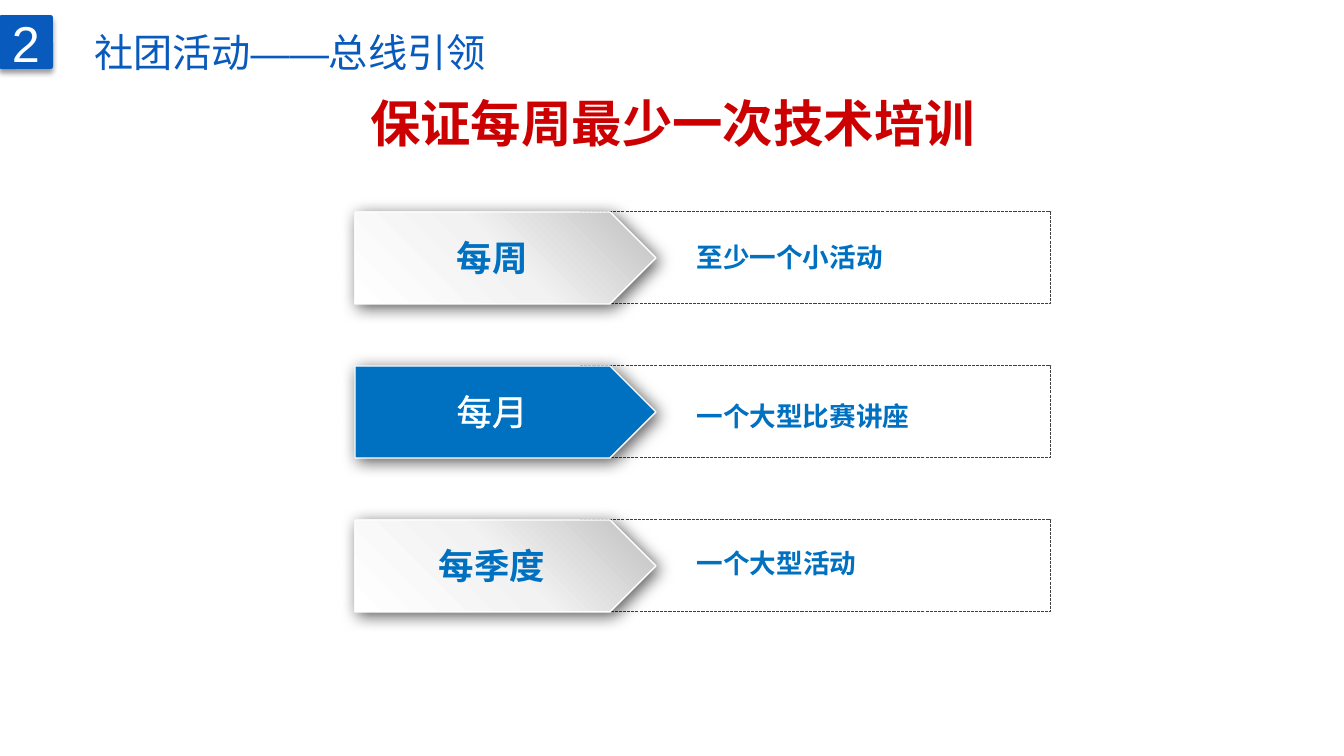
from dataclasses import dataclass

from copy import deepcopy
from lxml import etree
from pptx import Presentation
from pptx.dml.color import RGBColor
from pptx.enum.dml import MSO_LINE
from pptx.enum.shapes import MSO_SHAPE
from pptx.enum.text import MSO_ANCHOR, MSO_AUTO_SIZE, PP_ALIGN
from pptx.oxml.ns import qn
from pptx.util import Pt

RECT = MSO_SHAPE.RECTANGLE
ROUNDED = MSO_SHAPE.ROUNDED_RECTANGLE
PENTAGON = MSO_SHAPE.PENTAGON
LEFT, CENTER = PP_ALIGN.LEFT, PP_ALIGN.CENTER
TOP, MIDDLE = MSO_ANCHOR.TOP, MSO_ANCHOR.MIDDLE
GROW = MSO_AUTO_SIZE.SHAPE_TO_FIT_TEXT
DASH = MSO_LINE.SQUARE_DOT

SLIDE_W, SLIDE_H = 1344, 756
EMU_PER_PX = 12192000 / SLIDE_W


@dataclass(frozen=True)
class Theme:
    latin: str = "Arial"
    cjk: str = "Noto Sans CJK SC"
    navy: str = "085ABC"
    blue: str = "0070C0"
    red: str = "CC0000"
    white: str = "FFFFFF"
    black: str = "000000"
    frame: str = "404040"
    silver: tuple = ("BFBFBF", "F2F2F2", "FFFFFF")
    headline: float = 36
    header: float = 28
    label: float = 25.3
    detail: float = 19


T = Theme()

# Period, its label colour, highlighted or not, activity, activity offset and width
ROWS = [
    ("每周", T.blue, False, "至少一个小活动", 24, 327),
    ("每月", T.white, True, "一个大型比赛讲座", 29, 272),
    ("每季度", T.blue, False, "一个大型活动", 22, 241),
]
ROW_TOP, ROW_PITCH, ROW_H = 212, 154, 92
PLATE_X, PLATE_W = 355, 301
FRAME_X, FRAME_W = 581, 470
LABEL_CENTER, LABEL_W, LABEL_H = 492, 128, 53
DETAIL_X, DETAIL_H = 687, 42


def px(n):
    return round(n * EMU_PER_PX)


def rgb(value):
    return RGBColor.from_string(value)


def set_text(sp, text, size, color, font=T.cjk, bold=False, align=LEFT,
             spacing=None, **frame):
    """Write one formatted paragraph; frame holds text frame settings."""
    tf = sp.text_frame
    for name, value in frame.items():
        setattr(tf, name, value)
    p = tf.paragraphs[0]
    p.alignment = align
    if spacing:
        p.line_spacing = spacing
    r = p.add_run()
    r.text = text
    for name, value in {"size": Pt(size), "bold": bold, "name": font}.items():
        setattr(r.font, name, value)
    r.font.color.rgb = rgb(color)
    etree.SubElement(r.font._element, qn("a:ea"), typeface=font)
    return r


def add_text(s, box, *args, **kwargs):
    sp = s.shapes.add_textbox(*map(px, box))
    settings = {"word_wrap": True, "auto_size": GROW, **kwargs}
    return set_text(sp, *args, **settings)


def add_shape(s, kind, box, fill=None, line=None, width=1):
    """Add a preset shape; a tuple of colours gives a gradient fill."""
    sp = s.shapes.add_shape(kind, *map(px, box))
    sp.shadow.inherit = False
    if isinstance(fill, tuple):
        fill_gradient(sp, fill)
    elif fill:
        sp.fill.solid()
        sp.fill.fore_color.rgb = rgb(fill)
    else:
        sp.fill.background()
    if line:
        sp.line.color.rgb = rgb(line)
        sp.line.width = Pt(width)
    else:
        sp.line.fill.background()
    return sp


def fill_gradient(sp, colors):
    sp.fill.gradient()
    stops = sp._element.spPr.find(".//" + qn("a:gsLst"))
    stops.append(deepcopy(stops[0]))
    for i, (stop, color) in enumerate(zip(sp.fill.gradient_stops, colors)):
        stop.position = i / (len(colors) - 1)
        stop.color.rgb = rgb(color)
    sp.fill.gradient_angle = 225


def add_shadow(sp, alpha, blur, distance, angle):
    effects = sp._element.spPr.find(qn("a:effectLst"))
    shadow = etree.SubElement(
        effects, qn("a:outerShdw"), blurRad=str(Pt(blur)), dist=str(Pt(distance)),
        dir=str(angle * 60000), algn="tl", rotWithShape="0")
    color = etree.SubElement(shadow, qn("a:srgbClr"), val=T.black)
    etree.SubElement(color, qn("a:alpha"), val=str(alpha * 1000))


def outline_text(r, color, width):
    ln = etree.Element(qn("a:ln"), w=str(Pt(width)))
    fill = etree.SubElement(ln, qn("a:solidFill"))
    etree.SubElement(fill, qn("a:srgbClr"), val=color)
    r.font._element.insert(0, ln)


def add_header(s, number, text):
    badge = add_shape(s, ROUNDED, (-1, 15, 54, 54), T.navy)
    badge.adjustments[0] = 0.05
    add_shadow(badge, 40, 4, 3, 90)
    set_text(badge, number, T.headline, T.white, T.latin, align=CENTER,
             vertical_anchor=MIDDLE)
    title = s.shapes.title
    box = map(px, (84, 0, 416, 73))
    for name, value in zip(("left", "top", "width", "height"), box):
        setattr(title, name, value)
    set_text(title, text, T.header, T.navy, T.latin, spacing=1.5,
             vertical_anchor=TOP, word_wrap=False, auto_size=GROW)


def add_row(s, top, period, color, highlighted, activity, offset, width):
    plate = add_shape(s, PENTAGON, (PLATE_X, top, PLATE_W, ROW_H),
                      T.blue if highlighted else T.silver, T.white)
    add_shadow(plate, 63, 12, 3, 45)
    label_box = (LABEL_CENTER - LABEL_W // 2, top + 19, LABEL_W, LABEL_H)
    r = add_text(s, label_box, period, T.label, color, bold=not highlighted,
                 align=CENTER, word_wrap=False)
    if highlighted:
        outline_text(r, T.white, 0.75)
    add_text(s, (DETAIL_X, top + offset, width, DETAIL_H), activity,
             T.detail, T.blue, bold=True)


def main():
    prs = Presentation()
    prs.slide_width, prs.slide_height = px(SLIDE_W), px(SLIDE_H)
    s = prs.slides.add_slide(prs.slide_layouts[5])

    # Section number and title
    add_header(s, "2", "社团活动——总线引领")

    # Dashed frames behind the arrow plates
    tops = [ROW_TOP + i * ROW_PITCH for i in range(len(ROWS))]
    for top in tops:
        frame = add_shape(s, RECT, (FRAME_X, top, FRAME_W, ROW_H),
                          line=T.frame, width=0.75)
        frame.line.dash_style = DASH

    # Periods and their activities
    for top, row in zip(tops, ROWS):
        add_row(s, top, *row)

    # Headline
    inset_x, inset_y = px(9), px(4)
    add_text(s, (26, 70, 1293, 81), "保证每周最少一次技术培训", T.headline, T.red,
             bold=True, align=CENTER, spacing=1.3,
             margin_left=inset_x, margin_right=inset_x,
             margin_top=inset_y, margin_bottom=inset_y)

    prs.save("out.pptx")


if __name__ == "__main__":
    main()
